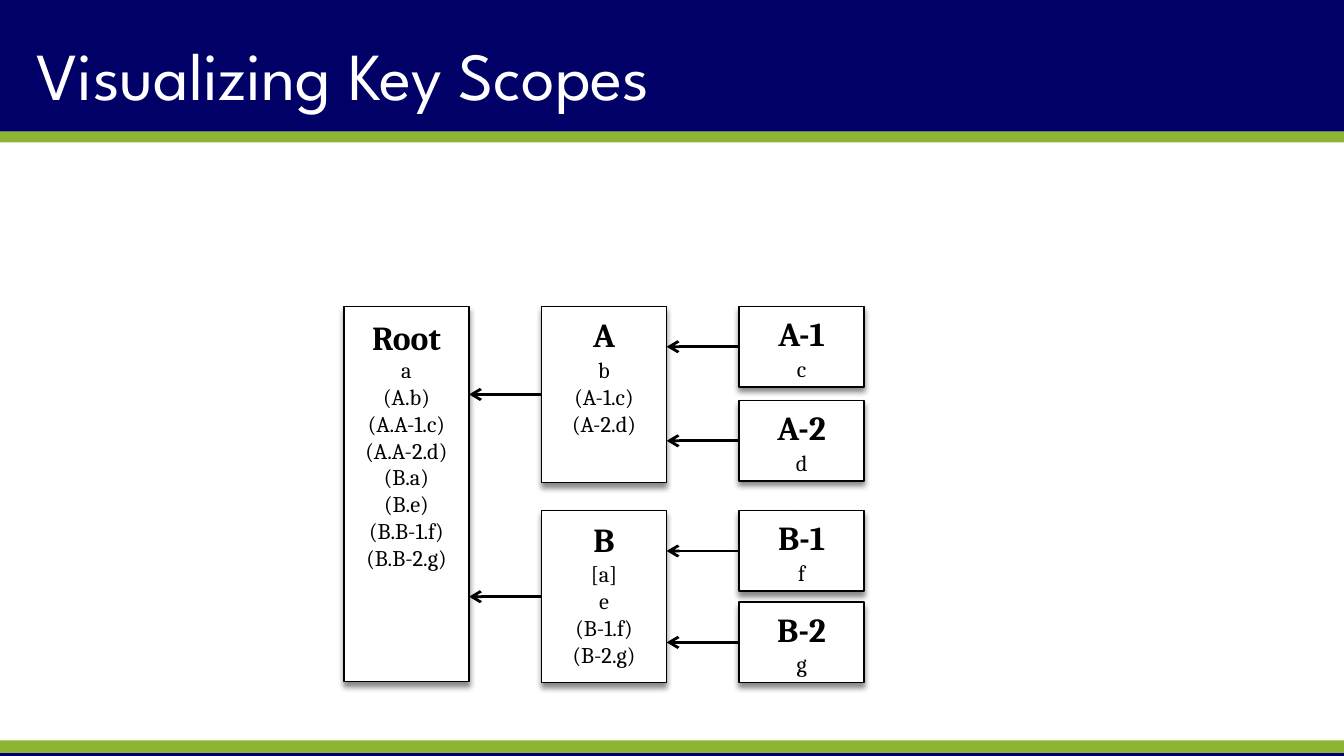
from typing import NamedTuple

from lxml import etree
from pptx import Presentation
from pptx import util as u
from pptx.dml.color import RGBColor
from pptx.enum import shapes, text
from pptx.oxml import parse_xml
from pptx.oxml.ns import qn

WIDE = 10
HIGH = WIDE * 9 / 16
RIGHT, STEP, BOX = 5.5, 1.47, 0.93
HUES = {"navy": "000066", "green": "8DB533", "white": "FFFFFF", "black": "000000"}
NAME = {"size": u.Pt(18), "name": "Cambria", "bold": True}
KEYS = {"size": u.Pt(12), "name": "Cambria", "bold": False}
HEAD = {"size": u.Pt(36), "name": "League Spartan", "bold": False}
LIFT = (0.03, 0.01, 0)
DROP = (0.32, 0.32, 0.31)
SHADE = (
    '<a:outerShdw xmlns:a="http://schemas.openxmlformats.org/drawingml/2006/main" '
    'blurRad="38100" dist="30480" dir="5400000" rotWithShape="0">'
    '<a:srgbClr val="000000"><a:alpha val="45000"/></a:srgbClr></a:outerShdw>'
)


class Band(NamedTuple):
    top: float
    high: float
    hue: str


class Scope(NamedTuple):
    name: str
    col: int
    top: float
    high: float
    keys: str

    @property
    def left(self) -> float:
        return RIGHT - (2 - self.col) * STEP

    @property
    def mid(self) -> float:
        return self.top + self.high / 2


BANDS = (
    Band(0, 0.98, "navy"),
    Band(0.98, 0.08, "green"),
    Band(5.6, 0.03, "navy"),
    Band(5.51, 0.09, "green"),
)
SCOPES = (
    Scope("A-1", 2, 2.28, 0.6, "c"),
    Scope("A-2", 2, 2.98, 0.6, "d"),
    Scope("B-1", 2, 3.8, 0.6, "f"),
    Scope("B-2", 2, 4.48, 0.6, "g"),
    Scope("B", 1, 3.8, 1.28, "[a] e (B-1.f) (B-2.g)"),
    Scope("A", 1, 2.28, 1.31, "b (A-1.c) (A-2.d)"),
    Scope("Root", 0, 2.28, 2.79, "a (A.b) (A.A-1.c) (A.A-2.d) (B.a) (B.e) (B.B-1.f) (B.B-2.g)"),
)


def tint(hue: str) -> RGBColor:
    return RGBColor.from_string(HUES[hue])


def style(font, form: dict, hue: str) -> None:
    for key, val in form.items():
        setattr(font, key, val)
    font.color.rgb = tint(hue)


def block(slide, left: float, top: float, wide: float, high: float, hue: str):
    rect = slide.shapes.add_shape(
        shapes.MSO_SHAPE.RECTANGLE, *map(u.Inches, (left, top, wide, high)))
    rect.shadow.inherit = False
    rect.fill.solid()
    rect.fill.fore_color.rgb = tint(hue)
    rect.line.fill.background()
    return rect


def label(slide, left: float, top: float, lines: list[str], form: dict) -> None:
    high = 0.1 + form["size"].inches * 1.2 * len(lines)
    box = slide.shapes.add_textbox(*map(u.Inches, (left, top, BOX, high)))
    frame = box.text_frame
    frame.word_wrap = True
    frame.text = "\n".join(lines)
    for para in frame.paragraphs:
        para.alignment = text.PP_ALIGN.CENTER
        style(para.runs[0].font, form, "black")


def draw(slide, scope: Scope) -> None:
    rect = block(slide, scope.left, scope.top, BOX, scope.high, "white")
    rect.line.color.rgb = tint("black")
    rect.line.width = u.Pt(0.79)
    rect._element.spPr.find(qn("a:effectLst")).append(parse_xml(SHADE))
    label(slide, scope.left, scope.top + LIFT[scope.col], [scope.name], NAME)
    label(slide, scope.left, scope.top + DROP[scope.col], scope.keys.split(), KEYS)


def arrow(slide, scope: Scope) -> None:
    ends = scope.left, scope.mid, scope.left - STEP + BOX, scope.mid
    link = slide.shapes.add_connector(
        shapes.MSO_CONNECTOR.STRAIGHT, *map(u.Inches, ends))
    link.line.color.rgb = tint("black")
    link.line.width = u.Pt(1.5)
    props = link._element.spPr
    etree.SubElement(props.find(qn("a:ln")), qn("a:tailEnd"), type="arrow")
    etree.SubElement(props, qn("a:effectLst"))


def title(slide, words: str) -> None:
    head = slide.shapes.title
    place = {"left": 0.17, "top": 0.14, "width": 7.5, "height": 0.76}
    for key, val in place.items():
        setattr(head, key, u.Inches(val))
    frame = head.text_frame
    frame.text = words
    frame.auto_size = text.MSO_AUTO_SIZE.NONE
    frame.vertical_anchor = text.MSO_ANCHOR.BOTTOM
    para = frame.paragraphs[0]
    para.alignment = text.PP_ALIGN.LEFT
    style(para.runs[0].font, HEAD, "white")
    slide.shapes._spTree.append(head._element)


def main() -> None:
    deck = Presentation()
    deck.slide_width, deck.slide_height = u.Inches(WIDE), u.Inches(HIGH)
    slide = deck.slides.add_slide(deck.slide_layouts[5])
    for band in BANDS:
        block(slide, 0, band.top, WIDE, band.high, band.hue)
    title(slide, "Visualizing Key Scopes")
    for scope in SCOPES:
        draw(slide, scope)
    for scope in SCOPES:
        if scope.col:
            arrow(slide, scope)
    deck.save("out.pptx")


if __name__ == "__main__":
    main()
